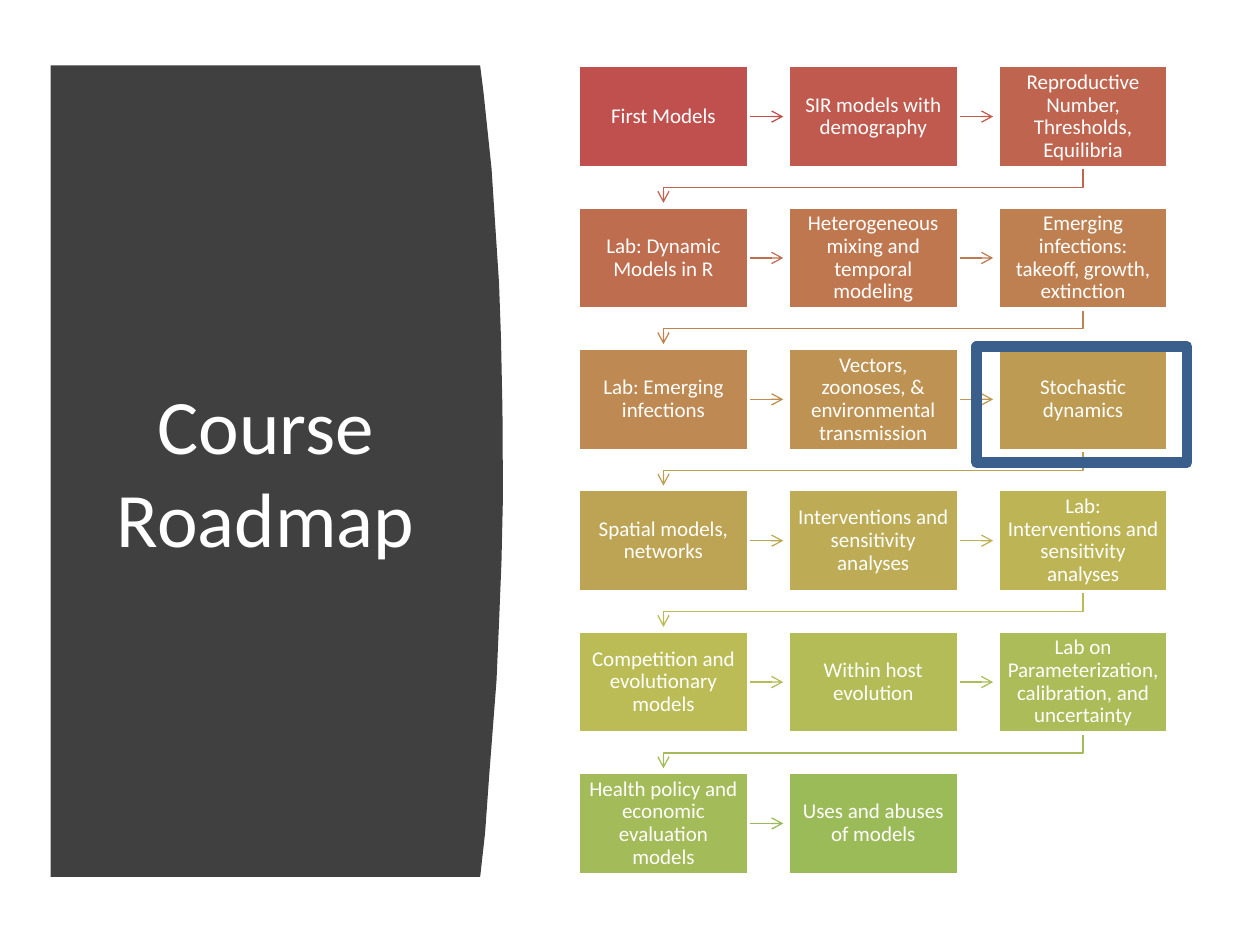
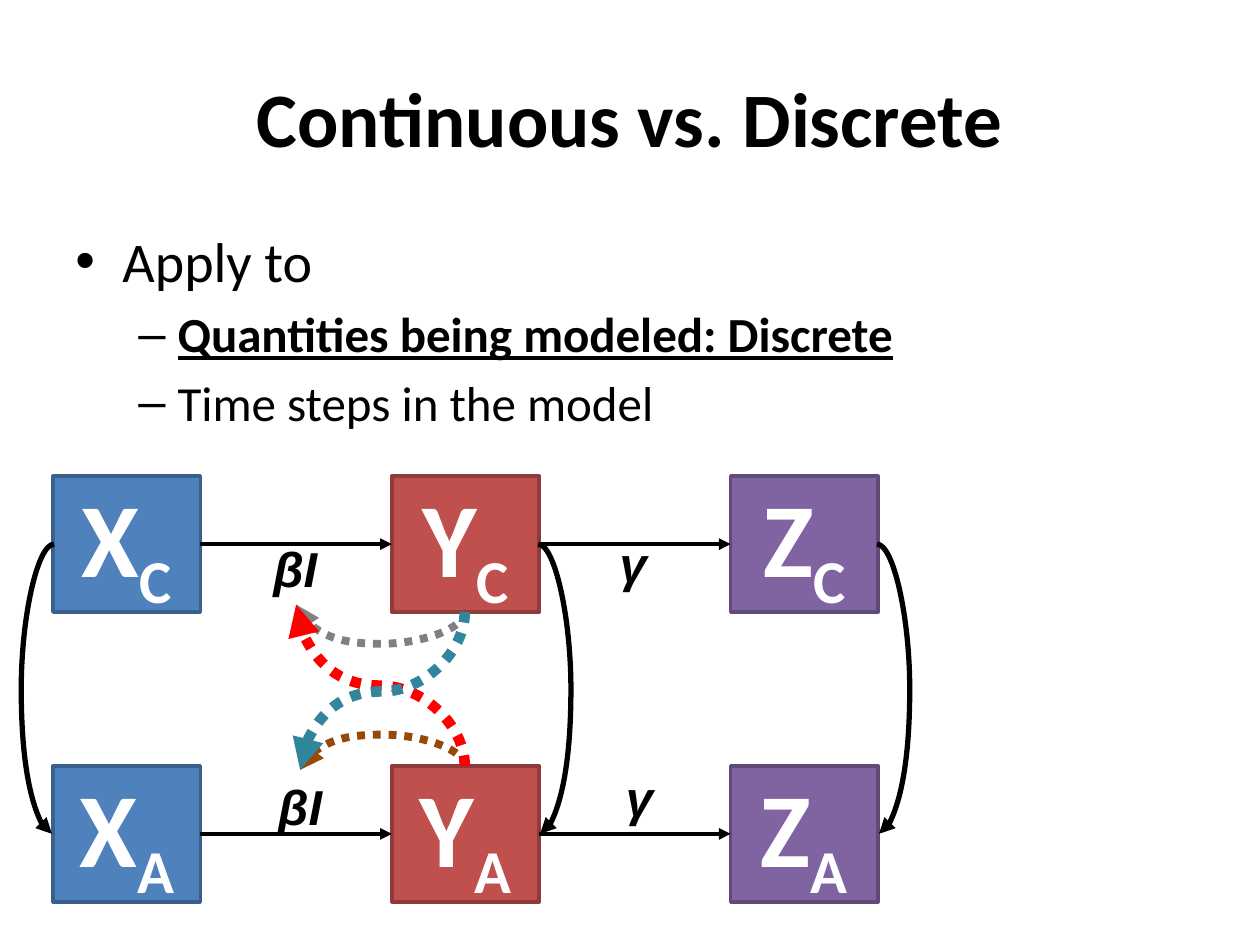
"""Build two slides: a course roadmap and a two-group compartment model."""
from colorsys import hls_to_rgb, rgb_to_hls

from lxml import etree
from pptx import Presentation
from pptx.dml.color import RGBColor
from pptx.enum.dml import MSO_LINE
from pptx.enum.shapes import MSO_CONNECTOR, MSO_SHAPE
from pptx.enum.text import MSO_ANCHOR, PP_ALIGN
from pptx.oxml.ns import qn
from pptx.util import Cm, Pt

CENTER, MIDDLE = PP_ALIGN.CENTER, MSO_ANCHOR.MIDDLE
STRAIGHT, CURVE = MSO_CONNECTOR.STRAIGHT, MSO_CONNECTOR.CURVE
RECTANGLE, DOTTED = MSO_SHAPE.RECTANGLE, MSO_LINE.ROUND_DOT
TITLE_ONLY = 5

COLORS = {
    "white": "FFFFFF", "black": "000000", "panel": "404040",
    "first": "C0504D", "last": "9BBB59", "highlight": "3A5F8C",
    "X": "4F81BD", "X edge": "3A5F8C", "Y": "C0504D", "Y edge": "8E3B39",
    "Z": "8064A2", "Z edge": "5F4A78",
    "brown": "984807", "gray": "808080", "red": "FF0000", "teal": "31859C",
}

ROADMAP_TITLE = "Course Roadmap"
TOPICS = [
    "First Models", "SIR models with demography",
    "Reproductive Number, Thresholds, Equilibria",
    "Lab: Dynamic Models in R", "Heterogeneous mixing and temporal modeling",
    "Emerging infections: takeoff, growth, extinction",
    "Lab: Emerging infections",
    "Vectors, zoonoses, & environmental transmission", "Stochastic dynamics",
    "Spatial models, networks", "Interventions and sensitivity analyses",
    "Lab: Interventions and sensitivity analyses",
    "Competition and evolutionary models", "Within host evolution",
    "Lab on Parameterization, calibration, and uncertainty",
    "Health policy and economic evaluation models",
    "Uses and abuses of models",
]
TOPIC_COLUMNS = 3
TOPIC_LEFT, TOPIC_TOP = 11.66, 1.32
TOPIC_WIDTH, TOPIC_HEIGHT = 3.43, 2.06
TOPIC_PITCH_X, TOPIC_PITCH_Y = 4.23, 2.85
HIGHLIGHT_BOX = (19.69, 6.99, 4.24, 2.34)
PANEL_OUTLINE = [
    (1.02, 1.32), (9.68, 1.32), (9.75, 1.88), (9.83, 2.64), (9.91, 3.4),
    (9.96, 4.17), (10.01, 4.93), (10.06, 5.69), (10.1, 6.81), (10.13, 8.26),
    (10.14, 10), (10.11, 11.33), (10.06, 12.57), (10.01, 13.72),
    (9.93, 14.76), (9.86, 15.67), (9.78, 16.79), (9.68, 17.68), (1.02, 17.68),
]

MODEL_TITLE = "Continuous vs. Discrete"
POINTS = [
    ("Apply to", 0, False),
    ("Quantities being modeled: Discrete", 1, True),
    ("Time steps in the model", 1, False),
]
POINT_LEVELS = [
    {"size": 32, "margin": 0.95, "hang": 0.95, "bullet": "•", "before": 0},
    {"size": 28, "margin": 2.06, "hang": 0.79, "bullet": "–", "before": 5.6},
]
STATES = ["X", "Y", "Z"]
GROUP_TOPS = {"C": 9.6, "A": 15.44}
STATE_LEFT, STATE_PITCH = 1.07, 6.83
STATE_WIDTH, STATE_HEIGHT = 2.97, 2.74
RATES = [("βI", 5.26, 10.74, 1.4), ("γ", 12.24, 10.64, 1.07),
         ("βI", 5.36, 15.52, 1.4), ("γ", 12.37, 15.34, 1.07)]
INFECTIONS = [
    ("brown", 4.5, (9.37, 15.44), (6.05, 15.52), 14.81),
    ("gray", 4.5, (9.37, 12.34), (5.97, 12.19), 12.98),
    ("red", 6, (9.37, 15.44), (5.97, 12.19), 13.82),
    ("teal", 6, (9.37, 12.34), (6.05, 15.52), 13.94),
]
AGING_BULGE, AGING_OFFSET = 0.64, 0.02


def rgb(color):
    return RGBColor.from_string(COLORS.get(color, color))


def blend(share):
    ends = []
    for name in ("first", "last"):
        ends.append(rgb_to_hls(*(part / 255 for part in rgb(name))))
    hls = [a + (b - a) * share for a, b in zip(*ends)]
    return "".join(f"{round(part * 255):02X}" for part in hls_to_rgb(*hls))


def set_font(paragraph, size, color, bold=False, italic=False, name="Calibri"):
    font = paragraph.font
    font.name, font.size = name, Pt(size)
    font.bold, font.italic = bold, italic
    font.color.rgb = rgb(color)


def set_title(slide, text, box, color, bold=False):
    title = slide.shapes.title
    title.left, title.top, title.width, title.height = map(Cm, box)
    title.text_frame.text = text
    title.text_frame.vertical_anchor = MIDDLE
    title.text_frame.paragraphs[0].alignment = CENTER
    set_font(title.text_frame.paragraphs[0], 44, color, bold)


def style_line(shape, color, width, head=None, dash=None):
    shape.line.color.rgb = rgb(color)
    shape.line.width = Pt(width)
    if dash:
        shape.line.dash_style = dash
    if head:
        line = shape._element.spPr.find(qn("a:ln"))
        etree.SubElement(line, qn("a:tailEnd"), type=head)


def add_box(slide, box, fill, edge, edge_width):
    shape = slide.shapes.add_shape(RECTANGLE, *map(Cm, box))
    shape.shadow.inherit = False
    if fill:
        shape.fill.solid()
        shape.fill.fore_color.rgb = rgb(fill)
    else:
        shape.fill.background()
    style_line(shape, edge, edge_width)
    return shape


def add_outline(slide, points, closed):
    start, *rest = [(Cm(x), Cm(y)) for x, y in points]
    builder = slide.shapes.build_freeform(*start)
    builder.add_line_segments(rest, close=closed)
    shape = builder.convert_to_shape()
    shape.shadow.inherit = False
    return shape


def add_arrow(slide, kind, start, end, color, width, head="triangle", dash=None):
    arrow = slide.shapes.add_connector(kind, *map(Cm, start + end))
    style_line(arrow, color, width, head, dash)
    etree.SubElement(arrow._element.spPr, qn("a:effectLst"))
    return arrow


def set_bend(arrow, share):
    guides = arrow._element.spPr.find(qn("a:prstGeom")).find(qn("a:avLst"))
    etree.SubElement(guides, qn("a:gd"), name="adj1",
                     fmla=f"val {round(share * 100000)}")


def add_side_curve(slide, start, end, bend, color, width):
    arrow = add_arrow(slide, CURVE, start, end, color, width)
    set_bend(arrow, (bend - start[0]) / (end[0] - start[0]))


def add_leftward_curve(slide, start, end, bend, color, width):
    (x1, y1), (x2, y2) = start, end
    middle_x, middle_y = (x1 + x2) / 2, (y1 + y2) / 2
    half_x, half_y = abs(y2 - y1) / 2, abs(x2 - x1) / 2
    arrow = add_arrow(slide, CURVE, (middle_x - half_x, middle_y - half_y),
                      (middle_x + half_x, middle_y + half_y),
                      color, width, dash=DOTTED)
    frame = arrow._element.spPr.find(qn("a:xfrm"))
    if y2 > y1:
        frame.set("rot", str(90 * 60000))
    else:
        frame.set("rot", str(270 * 60000))
        frame.set("flipV", "1")
    set_bend(arrow, (bend - y1) / (y2 - y1))


def add_topic_arrow(slide, column, left, top, color):
    if column < TOPIC_COLUMNS - 1:
        right, middle = left + TOPIC_WIDTH, top + TOPIC_HEIGHT / 2
        add_arrow(slide, STRAIGHT, (right, middle), (right + 0.7, middle),
                  color, 0.75, "arrow")
        return
    start_x, bottom = left + TOPIC_WIDTH / 2, top + TOPIC_HEIGHT
    end_x = TOPIC_LEFT + TOPIC_WIDTH / 2
    elbow = add_outline(slide, [(start_x, bottom), (start_x, bottom + 0.4),
                                (end_x, bottom + 0.4), (end_x, bottom + 0.71)],
                        False)
    elbow.fill.background()
    style_line(elbow, color, 0.75, "arrow")


def add_topic(slide, text, left, top, color):
    topic = add_box(slide, (left, top, TOPIC_WIDTH, TOPIC_HEIGHT),
                    color, "white", 2)
    frame = topic.text_frame
    frame.margin_left = frame.margin_right = Cm(0.18)
    frame.margin_top = frame.margin_bottom = Cm(0.18)
    frame.vertical_anchor, frame.word_wrap = MIDDLE, True
    frame.text = text
    frame.paragraphs[0].alignment = CENTER
    frame.paragraphs[0].line_spacing = 0.9
    set_font(frame.paragraphs[0], 12, "white")


def build_roadmap(slide):
    panel = add_outline(slide, PANEL_OUTLINE, True)
    panel.fill.solid()
    panel.fill.fore_color.rgb = rgb("panel")
    panel.line.fill.background()
    slide.shapes.title._element.addprevious(panel._element)
    set_title(slide, ROADMAP_TITLE, (1.8, 2.82, 7.11, 13.31), "white")
    last = len(TOPICS) - 1
    for index, text in enumerate(TOPICS):
        row, column = divmod(index, TOPIC_COLUMNS)
        left = TOPIC_LEFT + column * TOPIC_PITCH_X
        top = TOPIC_TOP + row * TOPIC_PITCH_Y
        if index < last:
            add_topic_arrow(slide, column, left, top, blend(index / (last - 1)))
        add_topic(slide, text, left, top, blend(index / last))
    add_box(slide, HIGHLIGHT_BOX, None, "highlight", 6)


def add_points(slide):
    frame = slide.shapes.add_textbox(Cm(1.27), Cm(4.45), Cm(22.86),
                                     Cm(12.57)).text_frame
    frame.word_wrap = True
    for index, (text, level, stressed) in enumerate(POINTS):
        paragraph = frame.add_paragraph() if index else frame.paragraphs[0]
        paragraph.text = text
        style = POINT_LEVELS[level]
        paragraph.level = level
        if style["before"]:
            paragraph.space_before = Pt(style["before"])
        properties = paragraph._p.get_or_add_pPr()
        properties.set("marL", str(Cm(style["margin"])))
        properties.set("indent", str(-Cm(style["hang"])))
        etree.SubElement(properties, qn("a:buFont"), typeface="Arial")
        etree.SubElement(properties, qn("a:buChar"), char=style["bullet"])
        set_font(paragraph, style["size"], "black", stressed)
        paragraph.font.underline = stressed


def add_state(slide, state, group, left, top):
    box = add_box(slide, (left, top, STATE_WIDTH, STATE_HEIGHT),
                  state, f"{state} edge", 2)
    box.text_frame.vertical_anchor = MIDDLE
    paragraph = box.text_frame.paragraphs[0]
    paragraph.alignment = CENTER
    paragraph.add_run().text = state
    subscript = paragraph.add_run()
    subscript.text = group
    subscript.font._element.set("baseline", "-25000")
    set_font(paragraph, 60, "white", bold=True)


def build_model(slide):
    set_title(slide, MODEL_TITLE, (1.27, 0.76, 22.86, 3.18), "black", True)
    add_points(slide)
    lefts = [STATE_LEFT + i * STATE_PITCH for i in range(len(STATES))]
    for group, top in GROUP_TOPS.items():
        for state, left in zip(STATES, lefts):
            add_state(slide, state, group, left, top)
    middles = [top + STATE_HEIGHT / 2 for top in GROUP_TOPS.values()]
    for middle in middles:
        for left, following in zip(lefts, lefts[1:]):
            add_arrow(slide, STRAIGHT, (left + STATE_WIDTH, middle),
                      (following, middle), "black", 2.25)
    for text, left, top, width in RATES:
        rate = slide.shapes.add_textbox(Cm(left), Cm(top), Cm(width), Cm(1.45))
        rate.text_frame.word_wrap = False
        rate.text_frame.text = text
        set_font(rate.text_frame.paragraphs[0], 28, "black", True, True, "Arial")
    for color, width, start, end, bend in INFECTIONS:
        add_leftward_curve(slide, start, end, bend, color, width)
    for state, left in zip(STATES, lefts):
        edge, side = (left, -1) if state == "X" else (left + STATE_WIDTH, 1)
        offset = side * AGING_OFFSET
        add_side_curve(slide, (edge - offset, middles[0]),
                       (edge + offset, middles[1]),
                       edge + side * AGING_BULGE, "black", 3)


def main():
    deck = Presentation()
    deck.slide_width, deck.slide_height = Cm(25.4), Cm(19.05)
    for build in (build_roadmap, build_model):
        build(deck.slides.add_slide(deck.slide_layouts[TITLE_ONLY]))
    deck.save("out.pptx")


if __name__ == "__main__":
    main()
